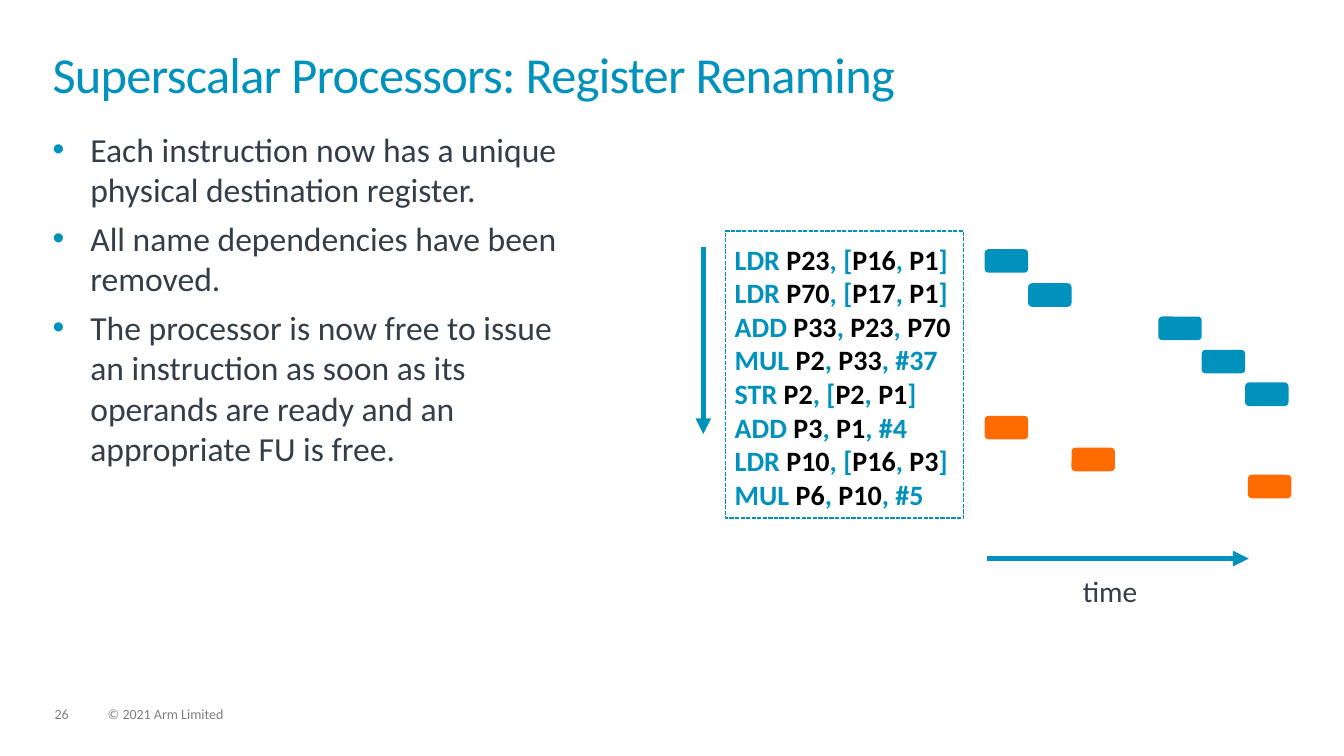
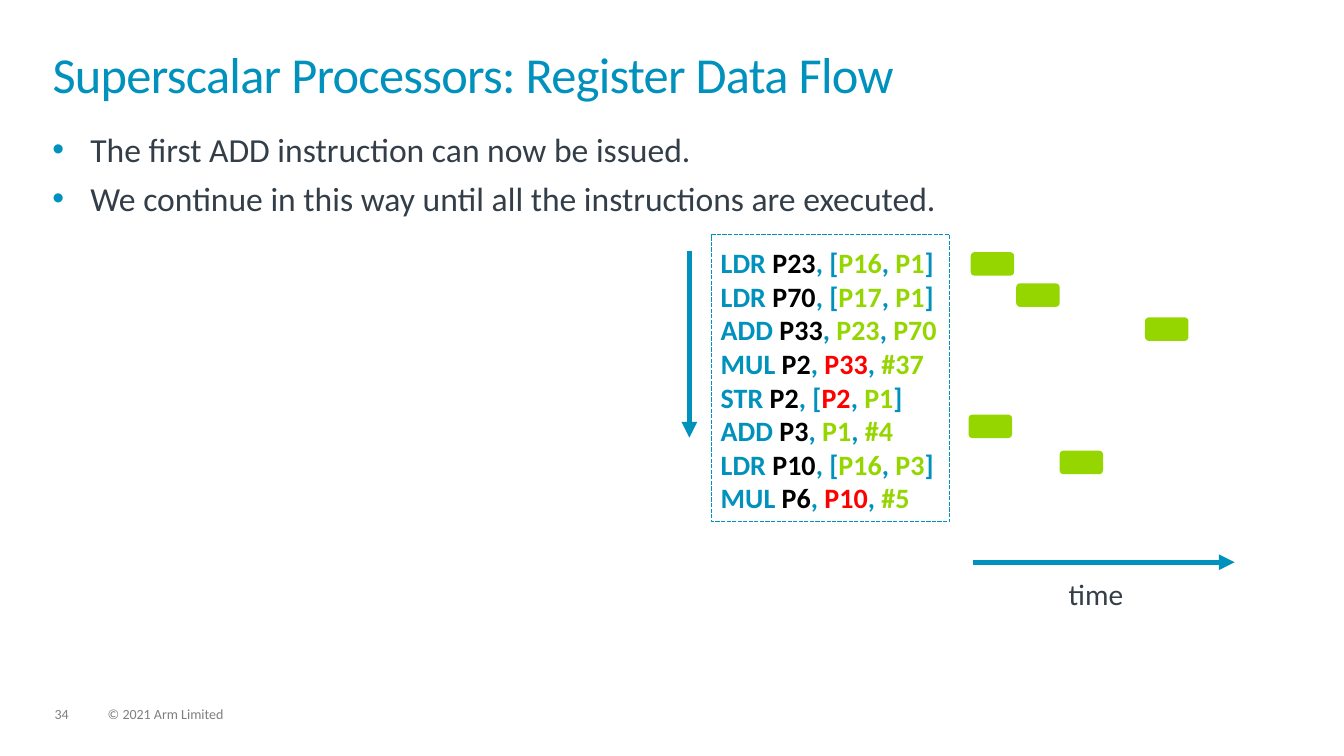
from dataclasses import dataclass

from lxml import etree
from pptx import Presentation
from pptx.dml.color import RGBColor
from pptx.enum.dml import MSO_LINE
from pptx.enum.shapes import MSO_CONNECTOR, MSO_SHAPE
from pptx.enum.text import MSO_ANCHOR, MSO_AUTO_SIZE, PP_ALIGN
from pptx.oxml.ns import qn
from pptx.util import Pt

TITLE_ONLY = 5
LEFT, TOP = PP_ALIGN.LEFT, MSO_ANCHOR.TOP
NO_AUTOFIT = MSO_AUTO_SIZE.NONE
RECT, ROUNDED = MSO_SHAPE.RECTANGLE, MSO_SHAPE.ROUNDED_RECTANGLE
STRAIGHT = MSO_CONNECTOR.STRAIGHT
DASHED = MSO_LINE.SQUARE_DOT


@dataclass(frozen=True)
class Theme:
    font: str = "Calibri"
    blue: str = "0091BD"
    orange: str = "FF6B00"
    green: str = "95D600"
    red: str = "FF0000"
    black: str = "000000"
    body: str = "333E48"
    muted: str = "7F7F7F"
    title_size: float = 36
    body_size: float = 24
    axis_size: float = 21
    code_size: float = 20
    footer_size: float = 10


THEME = Theme()
COPYRIGHT = "© 2021 Arm Limited"
MARGIN = 37.5
CONTENT_WIDTH = 884

# Operation, destination, sources, whether the sources form an address
PROGRAM = [
    ("LDR", "P23", ["P16", "P1"], True),
    ("LDR", "P70", ["P17", "P1"], True),
    ("ADD", "P33", ["P23", "P70"], False),
    ("MUL", "P2", ["P33", "#37"], False),
    ("STR", "P2", ["P2", "P1"], True),
    ("ADD", "P3", ["P1", "#4"], False),
    ("LDR", "P10", ["P16", "P3"], True),
    ("MUL", "P6", ["P10", "#5"], False),
]

# Schedule geometry, measured from the corner of the dashed code frame
CODE_WIDTH, CODE_HEIGHT = 170, 205
BAR_LEFT, BAR_TOP = 185, 13
CYCLE, ROW = 31, 23.8
BAR_HEIGHT = 16.8


def plain_operand(operand):
    return THEME.blue if operand.startswith("#") else THEME.black


def readiness(operand):
    return THEME.red if operand in ("P33", "P2", "P10") else THEME.green


class Deck:
    def __init__(self, theme):
        self.theme = theme
        self.prs = Presentation()
        self.prs.slide_width, self.prs.slide_height = Pt(960), Pt(540)
        self.slide = None

    def style(self, run, size, color, bold=False):
        run.font.name = self.theme.font
        run.font.size = Pt(size)
        run.font.bold = bold
        run.font.color.rgb = RGBColor.from_string(color)

    def frame(self, shape, inset_x=0, inset_y=0):
        text = shape.text_frame
        text.word_wrap = True
        text.auto_size = NO_AUTOFIT
        text.vertical_anchor = TOP
        text.margin_left = text.margin_right = Pt(inset_x)
        text.margin_top = text.margin_bottom = Pt(inset_y)
        return text

    def text_area(self, left, top, width, height, inset_x=0, inset_y=0):
        box = self.slide.shapes.add_textbox(Pt(left), Pt(top), Pt(width), Pt(height))
        return self.frame(box, inset_x, inset_y)

    def start_slide(self, title, number):
        self.slide = self.prs.slides.add_slide(self.prs.slide_layouts[TITLE_ONLY])
        heading = self.slide.shapes.title
        heading.left, heading.top = Pt(MARGIN), Pt(37.5)
        heading.width, heading.height = Pt(CONTENT_WIDTH), Pt(52)
        text = self.frame(heading)
        text.text = title
        paragraph = text.paragraphs[0]
        paragraph.alignment = LEFT
        paragraph.line_spacing = 0.85
        run = paragraph.runs[0]
        self.style(run, self.theme.title_size, self.theme.blue)
        run.font._element.set("spc", "-50")
        # Footer
        for words, left, width in ((str(number), 39, 24.5), (COPYRIGHT, 77, 365)):
            self.label(words, left, 505, width, 11,
                       self.theme.footer_size, self.theme.muted)

    def label(self, words, left, top, width, height, size, color):
        text = self.text_area(left, top, width, height)
        text.text = words
        paragraph = text.paragraphs[0]
        paragraph.line_spacing = 0.9
        self.style(paragraph.runs[0], size, color)

    def bullets(self, points, width):
        text = self.text_area(MARGIN, 92, width, 390)
        text.text = "\n".join(points)
        for index, paragraph in enumerate(text.paragraphs):
            properties = paragraph._p.get_or_add_pPr()
            properties.set("marL", str(Pt(27)))
            properties.set("indent", str(-Pt(27)))
            color = etree.SubElement(properties, qn("a:buClr"))
            etree.SubElement(color, qn("a:srgbClr"), val=self.theme.blue)
            etree.SubElement(properties, qn("a:buFont"), typeface="Arial")
            etree.SubElement(properties, qn("a:buChar"), char="•")
            if index:
                paragraph.space_before = Pt(6)
            self.style(paragraph.runs[0], self.theme.body_size, self.theme.body)

    def arrow(self, x1, y1, x2, y2):
        line = self.slide.shapes.add_connector(
            STRAIGHT, Pt(x1), Pt(y1), Pt(x2), Pt(y2))
        line.line.color.rgb = RGBColor.from_string(self.theme.blue)
        line.line.width = Pt(3.75)
        etree.SubElement(line.line._get_or_add_ln(), qn("a:tailEnd"), type="triangle")
        etree.SubElement(line._element.spPr, qn("a:effectLst"))

    def shape(self, kind, left, top, width, height):
        shape = self.slide.shapes.add_shape(
            kind, Pt(left), Pt(top), Pt(width), Pt(height))
        shape.shadow.inherit = False
        return shape

    def bar(self, left, top, color):
        bar = self.shape(ROUNDED, left, top, CYCLE, BAR_HEIGHT)
        bar.fill.solid()
        bar.fill.fore_color.rgb = RGBColor.from_string(color)
        bar.line.fill.background()

    def code(self, left, top, source_color):
        theme = self.theme
        border = self.shape(RECT, left, top, CODE_WIDTH, CODE_HEIGHT)
        border.fill.background()
        border.line.color.rgb = RGBColor.from_string(theme.blue)
        border.line.width = Pt(1)
        border.line.dash_style = DASHED

        text = self.text_area(left - 0.7, top + 4.3, 204, 201, 7.2, 3.6)
        for index, (operation, target, sources, address) in enumerate(PROGRAM):
            paragraph = text.add_paragraph() if index else text.paragraphs[0]
            first, second = sources
            pieces = [
                (operation + " ", theme.blue),
                (target, theme.black),
                (", [" if address else ", ", theme.blue),
                (first, source_color(first)),
                (", ", theme.blue),
                (second, source_color(second)),
            ]
            if address:
                pieces.append(("]", theme.blue))
            for words, color in pieces:
                run = paragraph.add_run()
                run.text = words
                self.style(run, theme.code_size, color, bold=True)

    def schedule(self, left, top, source_color, bars):
        """Draw code beside its bars: (row, cycle, shift x, shift y, colour)."""
        self.code(left, top, source_color)
        for row, cycle, shift_x, shift_y, color in bars:
            self.bar(left + BAR_LEFT + cycle * CYCLE + shift_x,
                     top + BAR_TOP + row * ROW + shift_y, color)
        # Program order and time axes
        self.arrow(left - 16, top + 11.5, left - 16, top + 145)
        self.arrow(left + 186.5, top + 234, left + 373.5, top + 234)
        self.label("time", left + 255, top + 247, 109, 23,
                   self.theme.axis_size, self.theme.body)


def main():
    deck = Deck(THEME)

    # Register renaming
    deck.start_slide("Superscalar Processors: Register Renaming", 26)
    deck.bullets([
        "Each instruction now has a unique physical destination register.",
        "All name dependencies have been removed.",
        "The processor is now free to issue an instruction as soon as its "
        "operands are ready and an appropriate FU is free.",
    ], 370)
    deck.schedule(518.4, 165, plain_operand, [
        (0, 0, 0, 0, THEME.blue),
        (1, 1, 0, 0.5, THEME.blue),
        (2, 4, 0, 0.5, THEME.blue),
        (3, 5, 0, 0.5, THEME.blue),
        (4, 6, 0, 0, THEME.blue),
        (5, 0, 0, 0, THEME.orange),
        (6, 2, 0, -1, THEME.orange),
        (7, 6, 2, -5.5, THEME.orange),
    ])

    # Register data flow
    deck.start_slide("Superscalar Processors: Register Data Flow", 34)
    deck.bullets([
        "The first ADD instruction can now be issued.",
        "We continue in this way until all the instructions are executed.",
    ], CONTENT_WIDTH)
    deck.schedule(508.4, 167.6, readiness, [
        (0, 0, 0, -0.5, THEME.green),
        (1, 1, 1.5, -2, THEME.green),
        (2, 4, 0.5, -1.5, THEME.green),
        (5, 0, -1.5, -3.5, THEME.green),
        (6, 2, 1.5, -1.5, THEME.green),
    ])

    deck.prs.save("out.pptx")


if __name__ == "__main__":
    main()
